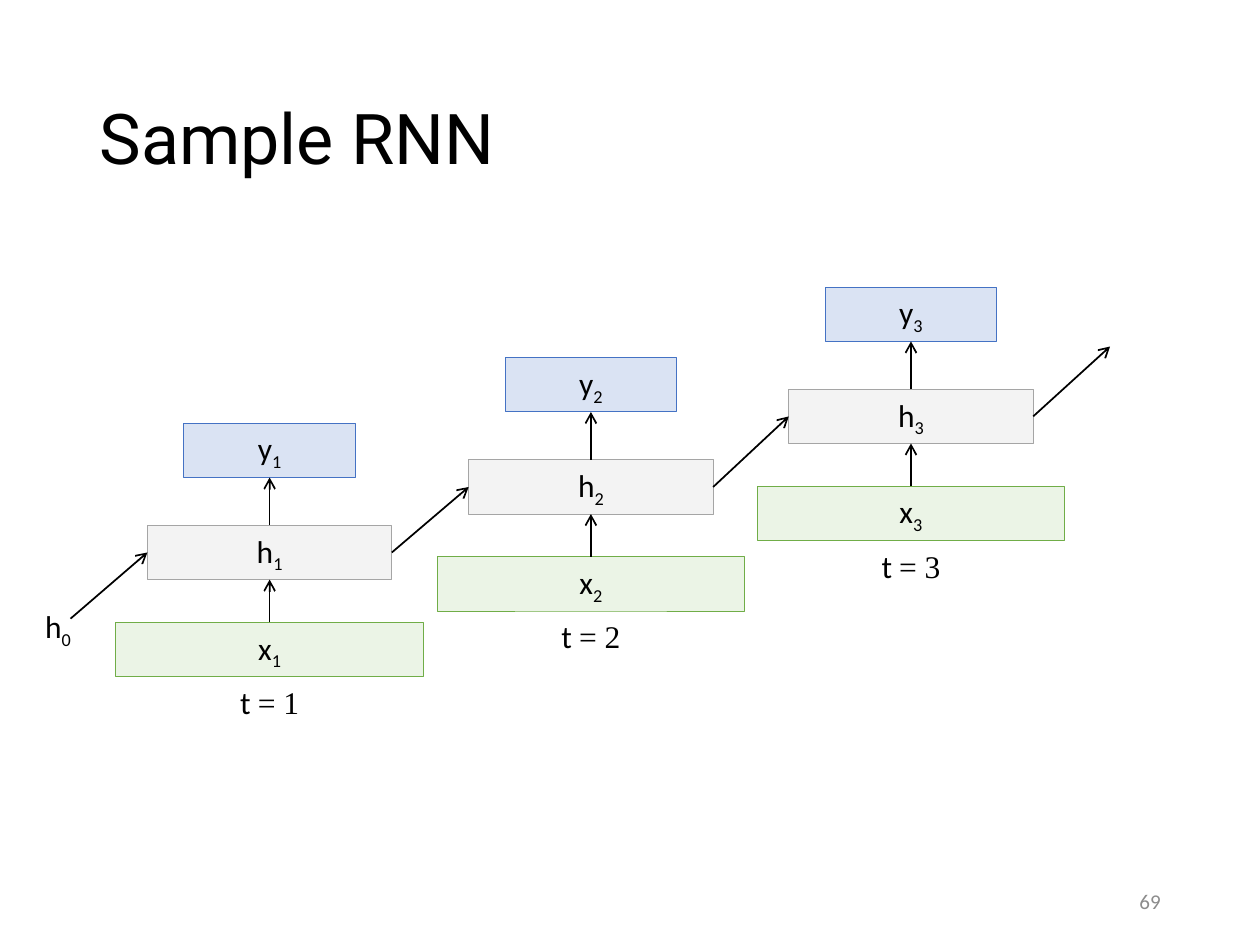
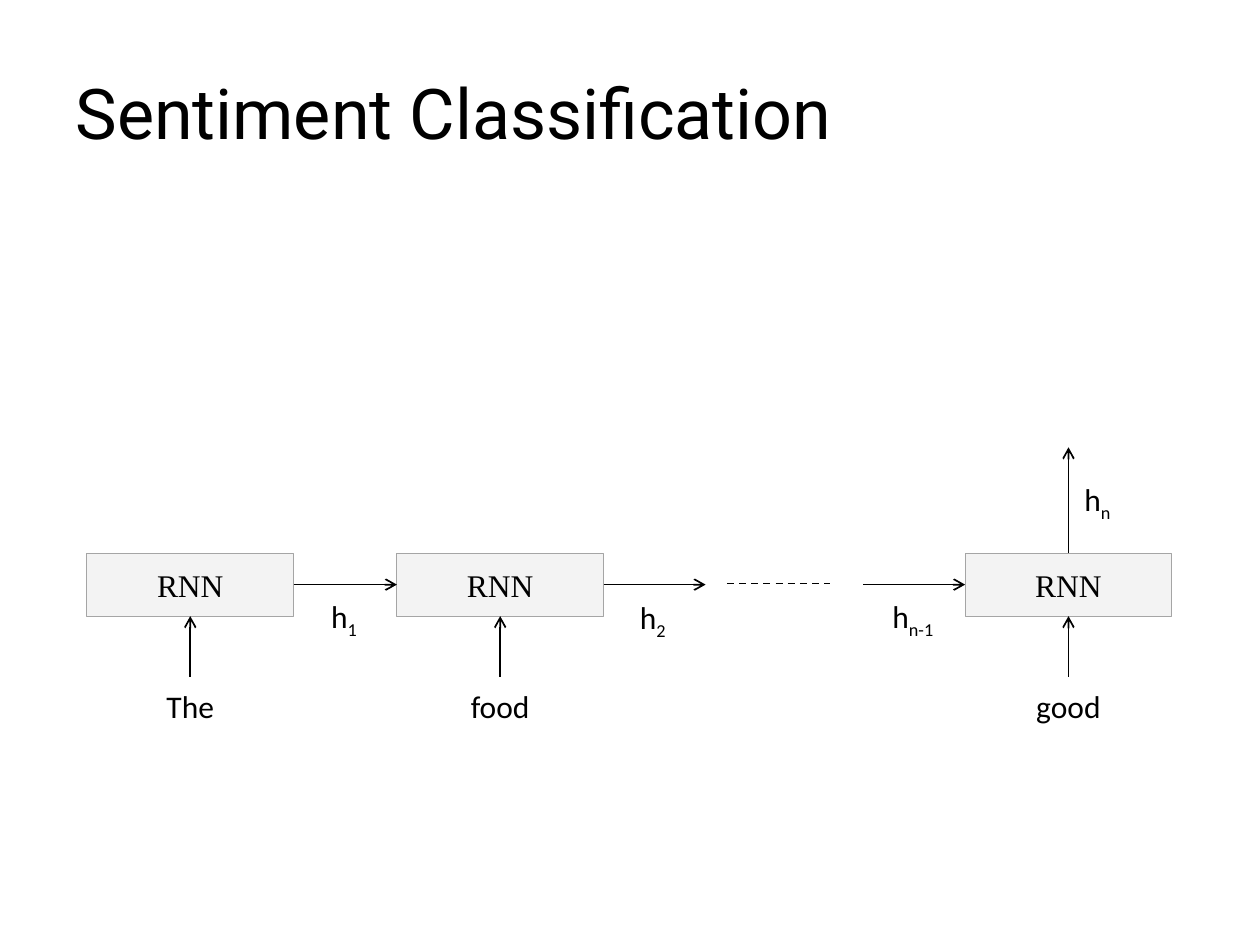
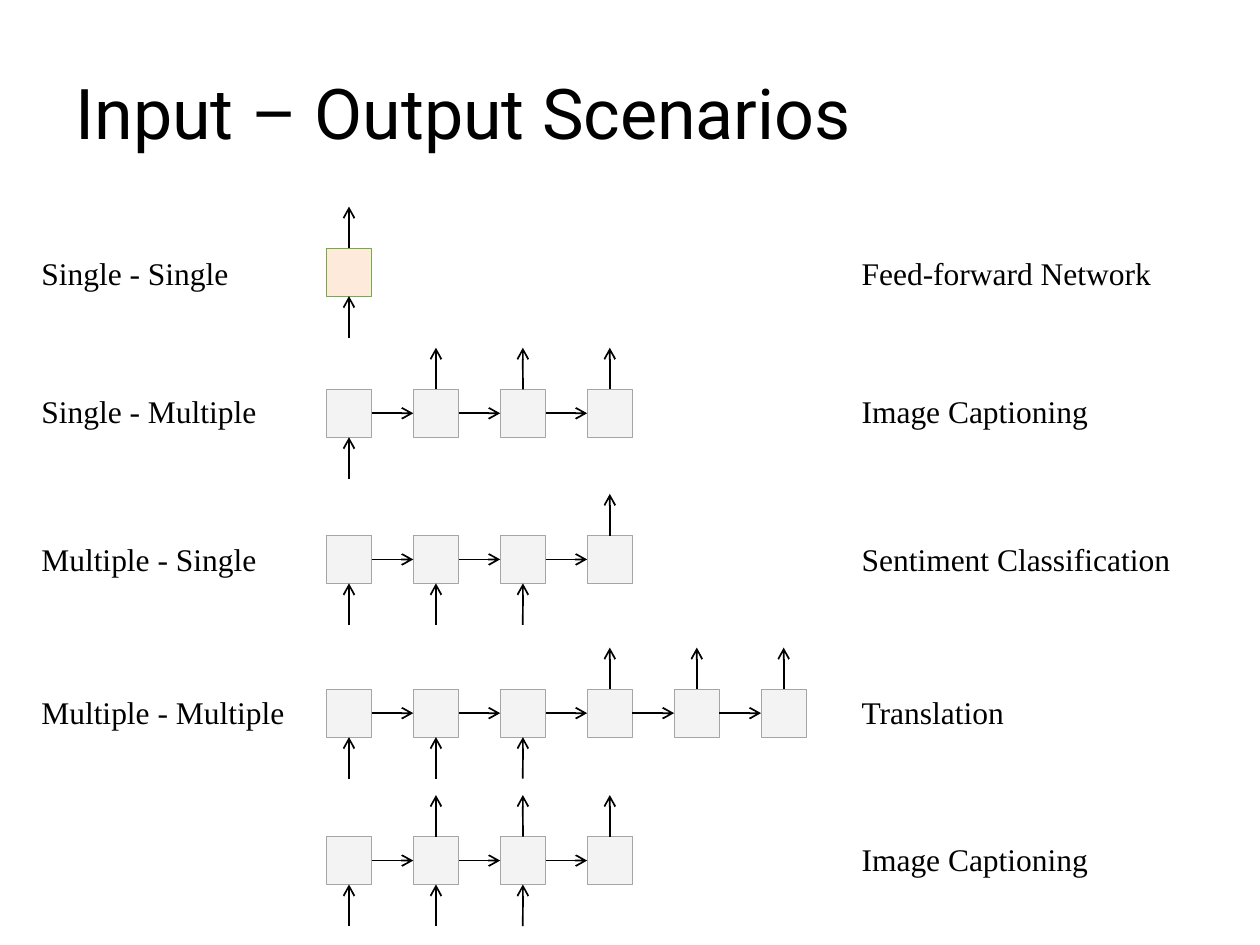
from pptx import Presentation
from pptx.dml.color import RGBColor
from pptx.enum.dml import MSO_LINE
from pptx.enum.shapes import MSO_CONNECTOR, MSO_SHAPE
from pptx.enum.text import MSO_ANCHOR, MSO_AUTO_SIZE, PP_ALIGN
from pptx.oxml.ns import qn
from pptx.util import Inches, Pt
from lxml import etree

RECT = MSO_SHAPE.RECTANGLE
STRAIGHT = MSO_CONNECTOR.STRAIGHT
DASH = MSO_LINE.DASH
TOP, MIDDLE = MSO_ANCHOR.TOP, MSO_ANCHOR.MIDDLE
FIT, FIXED = MSO_AUTO_SIZE.SHAPE_TO_FIT_TEXT, MSO_AUTO_SIZE.NONE
LEFT, CENTER, RIGHT = PP_ALIGN.LEFT, PP_ALIGN.CENTER, PP_ALIGN.RIGHT
NORTH, WEST, SOUTH, EAST = range(4)

COLORS = {
    "text": "000000", "number": "8C8C8C",
    "gray": "DBDBDB", "gray_line": "A5A5A5",
    "blue": "8FAADC", "blue_line": "4472C4",
    "green": "C5E0B4", "green_line": "70AD47",
    "orange": "FAC090",
}
SANS, SERIF, HEAD = "Calibri", "Times New Roman", "Roboto"
TITLE_BOX = (0.5, 0.3, 9, 1.25)


def rgb(name):
    return RGBColor.from_string(COLORS[name])


def side_point(shape, side):
    x, y, w, h = shape.left, shape.top, shape.width, shape.height
    return {
        NORTH: (x + w // 2, y), WEST: (x, y + h // 2),
        SOUTH: (x + w // 2, y + h), EAST: (x + w, y + h // 2),
    }[side]


def is_joined(end):
    return not isinstance(end[0], (int, float))


class Deck:
    def __init__(self):
        self.prs = Presentation()
        self.prs.slide_width, self.prs.slide_height = Inches(10), Inches(7.5)
        self.s = None

    def slide(self, title, box=TITLE_BOX):
        self.s = self.prs.slides.add_slide(self.prs.slide_layouts[5])
        sp = self.s.shapes.title
        sp.left, sp.top, sp.width, sp.height = map(Inches, box)
        frame = {"word_wrap": True, "auto_size": FIXED, "vertical_anchor": MIDDLE}
        p = self.fill_text(sp.text_frame, [(title, HEAD)], LEFT, frame, size=40)
        p.line_spacing = 0.9

    def fill_text(self, tf, runs, align, frame, size=18, color="text"):
        for name, value in frame.items():
            setattr(tf, name, value)
        p = tf.paragraphs[0]
        p.alignment = align
        for text, font in runs:
            base, _, sub = text.partition("_")
            for part, lowered in ((base, False), (sub, True)):
                if part:
                    r = p.add_run()
                    r.text = part
                    for name, value in {"name": font, "size": Pt(size)}.items():
                        setattr(r.font, name, value)
                    r.font.color.rgb = rgb(color)
                    if lowered:
                        r._r.get_or_add_rPr().set("baseline", "-25000")
        return p

    def text(self, box, runs, align=CENTER, wrap=False, anchor=TOP, **style):
        sp = self.s.shapes.add_textbox(*map(Inches, box))
        frame = {"word_wrap": wrap, "auto_size": FIT, "vertical_anchor": anchor}
        self.fill_text(sp.text_frame, runs, align, frame, **style)

    def box(self, box, fill="gray", line="gray_line", runs=(), anchor=MIDDLE):
        sp = self.s.shapes.add_shape(RECT, *map(Inches, box))
        sp.shadow.inherit = False
        sp.fill.solid()
        sp.fill.fore_color.rgb = rgb(fill)
        color = sp._element.spPr.find(qn("a:solidFill")).find(qn("a:srgbClr"))
        etree.SubElement(color, qn("a:alpha")).set("val", "33000")
        sp.line.color.rgb = rgb(line)
        sp.line.width = Pt(0.5)
        self.fill_text(sp.text_frame, runs, CENTER, {"vertical_anchor": anchor})
        return sp

    def line(self, start, end, dashed=False):
        ends = [side_point(*e) if is_joined(e) else tuple(map(Inches, e))
                for e in (start, end)]
        c = self.s.shapes.add_connector(STRAIGHT, *ends[0], *ends[1])
        for e, connect in ((start, c.begin_connect), (end, c.end_connect)):
            if is_joined(e):
                connect(*e)
        c.line.color.rgb = rgb("text")
        c.line.width = Pt(1)
        spPr = c._element.spPr
        if dashed:
            c.line.dash_style = DASH
        else:
            etree.SubElement(spPr.find(qn("a:ln")), qn("a:tailEnd")).set("type", "arrow")
        etree.SubElement(spPr, qn("a:effectLst"))


def sample_rnn(d):
    d.slide("Sample RNN", (0.69, 0.4, 8.62, 1.45))
    d.text((7.06, 6.95, 2.25, 0.4), [("69", SANS)], RIGHT, True, MIDDLE,
           size=12, color="number")
    d.text((0.22, 4.77, 0.48, 0.4), [("h_0", SANS)])
    previous = None
    for t, (x, y) in enumerate([(1.17, 4.17), (3.72, 3.65), (6.26, 3.09)], 1):
        hidden = d.box((x, y, 1.94, 0.43), runs=[(f"h_{t}", SANS)], anchor=TOP)
        output = d.box((x + 0.29, y - 0.81, 1.36, 0.43), "blue", "blue_line",
                       [(f"y_{t}", SANS)], TOP)
        entry = d.box((x - 0.25, y + 0.77, 2.44, 0.43), "green", "green_line",
                      [(f"x_{t}", SANS)], TOP)
        d.line((entry, NORTH), (hidden, SOUTH))
        d.line((hidden, NORTH), (output, SOUTH))
        d.line((previous, EAST) if previous else (0.56, 4.91), (hidden, WEST))
        d.text((x + 0.58, y + 1.2, 0.78, 0.4), [("t ", SANS), (f"= {t}", SERIF)])
        previous = hidden
    d.line((previous, EAST), (8.81, 2.75))


def sentiment(d):
    d.slide("Sentiment Classification")
    cells = []
    for x, word in [(0.69, "The"), (3.15, "food"), (7.66, "good")]:
        cell = d.box((x, 4.39, 1.64, 0.5), runs=[("RNN", SERIF)])
        middle = x + 0.82
        d.line((middle, 5.37), (cell, SOUTH))
        d.text((middle - 0.4, 5.4, 0.8, 0.4), [(word, SANS)])
        cells.append(cell)
    first, second, last = cells
    d.line((first, EAST), (second, WEST))
    d.line((second, EAST), (5.6, 4.64))
    d.line((5.77, 4.63), (6.59, 4.63), dashed=True)
    d.line((6.85, 4.64), (last, WEST))
    d.line((last, NORTH), (8.48, 3.55))
    for x, y, w, state in [(2.49, 4.69, 0.48, "h_1"), (4.94, 4.7, 0.48, "h_2"),
                           (6.93, 4.69, 0.63, "h_n-1"), (8.47, 3.76, 0.48, "h_n")]:
        d.text((x, y, w, 0.4), [(state, SANS)])


def scenarios(d):
    d.slide("Input – Output Scenarios")
    rows = [
        (1.97, 1.97, "Single - Single", "Feed-forward Network", 1, [0], [0]),
        (3.09, 3.06, "Single - Multiple", "Image Captioning", 4, [0], [1, 2, 3]),
        (4.25, 4.24, "Multiple - Single", "Sentiment Classification", 4, [0, 1, 2], [3]),
        (5.47, 5.45, "Multiple - Multiple", "Translation", 6, [0, 1, 2], [3, 4, 5]),
        (6.64, 6.62, "", "Image Captioning", 4, [0, 1, 2], [1, 2, 3]),
    ]
    side, height, pitch, reach = 0.36, 0.38, 0.69, 0.33
    for top, text_top, kind, task, count, inputs, outputs in rows:
        colors = ("orange", "green_line") if count == 1 else ("gray", "gray_line")
        previous = None
        for i in range(count):
            x = 2.59 + i * pitch
            middle = x + side / 2
            cell = d.box((x, top, side, height), *colors)
            if previous:
                d.line((previous, EAST), (cell, WEST))
            if i in inputs:
                d.line((middle, top + height + reach), (cell, SOUTH))
            if i in outputs:
                d.line((cell, NORTH), (middle, top - reach))
            previous = cell
        for x, w, label in [(0.23, 2.36, kind), (6.74, 3.26, task)]:
            if label:
                d.text((x, text_top, w, 0.4), [(label, SERIF)], LEFT, True)


def main():
    d = Deck()
    sample_rnn(d)
    sentiment(d)
    scenarios(d)
    d.prs.save("out.pptx")


if __name__ == "__main__":
    main()
